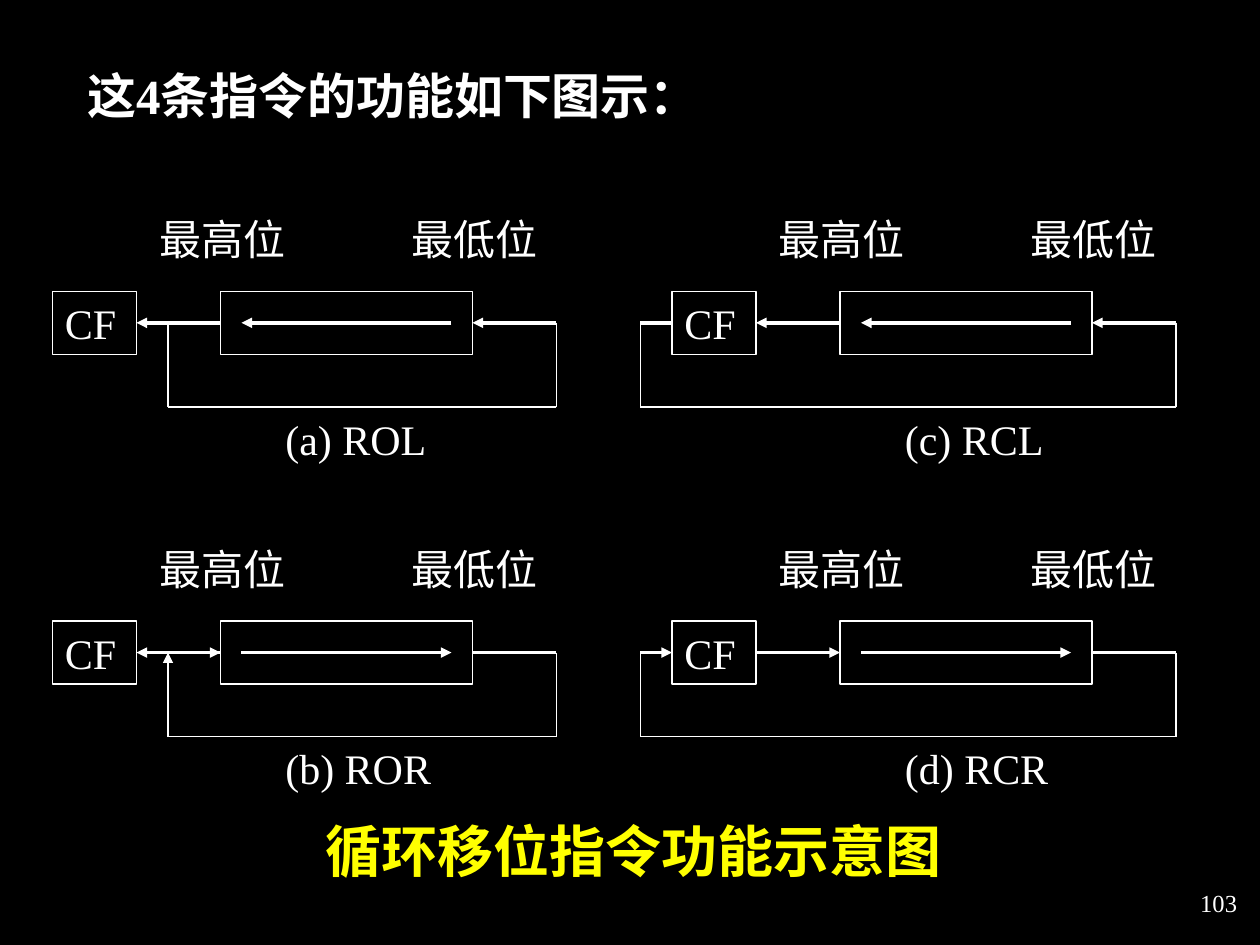
from dataclasses import dataclass
from typing import Any, Optional

from lxml import etree
from pptx import Presentation
from pptx.dml.color import RGBColor
from pptx.enum.shapes import MSO_CONNECTOR, MSO_SHAPE
from pptx.enum.text import MSO_ANCHOR, MSO_AUTO_SIZE, PP_ALIGN
from pptx.oxml.ns import qn
from pptx.util import Inches, Pt

STRAIGHT = MSO_CONNECTOR.STRAIGHT
RECTANGLE = MSO_SHAPE.RECTANGLE
TOP, MIDDLE = MSO_ANCHOR.TOP, MSO_ANCHOR.MIDDLE
LEFT, RIGHT = PP_ALIGN.LEFT, PP_ALIGN.RIGHT
NO_FIT = MSO_AUTO_SIZE.NONE
LEFT_SIDE, RIGHT_SIDE = 1, 3

BLACK = RGBColor(0x00, 0x00, 0x00)
WHITE = RGBColor(0xFF, 0xFF, 0xFF)
YELLOW = RGBColor(0xFF, 0xFF, 0x00)

BODY = {"name": "Times New Roman", "size": Pt(24), "bold": False}
HEADING = {**BODY, "size": Pt(28), "bold": True}
CAPTION = {**BODY, "size": Pt(32), "bold": True}
NUMBER = {**BODY, "size": Pt(14)}

COLUMNS, ROWS = 120, 90
THIN, THICK = Pt(0.75), Pt(2)
LOOP_DEPTH = 8
LOOP_RIGHT = 53

prs = Presentation()
prs.slide_width, prs.slide_height = Inches(10), Inches(7.5)
COL, ROW = prs.slide_width / COLUMNS, prs.slide_height / ROWS


@dataclass
class Box:
    x: float
    y: float
    w: float
    h: float

    def emu(self) -> list[int]:
        return [round(v) for v in (self.x * COL, self.y * ROW, self.w * COL, self.h * ROW)]


@dataclass
class Panel:
    col: float
    row: float
    caption: str
    rotates_left: bool
    through_carry: bool

    def box(self, x: float, y: float, w: float, h: float) -> Box:
        return Box(self.col + x, self.row + y, w, h)


PANELS = [
    Panel(0, 30.75, "(a) ROL", True, False),
    Panel(59, 30.75, "(c) RCL", True, True),
    Panel(0, 62.15, "(b) ROR", False, False),
    Panel(59, 62.15, "(d) RCR", False, True),
]


def write(s: Any, text: str, font: dict, color: RGBColor = WHITE,
          align: Any = LEFT, anchor: Any = TOP, wrap: bool = True) -> None:
    tf = s.text_frame
    frame = {"word_wrap": wrap, "auto_size": NO_FIT, "vertical_anchor": anchor}
    for name, value in frame.items():
        setattr(tf, name, value)
    p = tf.paragraphs[0]
    p.alignment = align
    r = p.add_run()
    r.text = text
    for name, value in font.items():
        setattr(r.font, name, value)
    r.font.color.rgb = color


def add_text(shapes: Any, box: Box, text: str, font: dict, **options: Any) -> None:
    write(shapes.add_textbox(*box.emu()), text, font, **options)


def add_register(shapes: Any, box: Box) -> Any:
    s = shapes.add_shape(RECTANGLE, *box.emu())
    s.shadow.inherit = False
    s.fill.background()
    s.line.color.rgb = WHITE
    s.line.width = THIN
    return s


def add_wire(shapes: Any, panel: Panel, start: tuple, end: tuple, width: Any = THICK,
             arrow: Optional[str] = None, begin: Any = None, finish: Any = None) -> None:
    (x1, y1), (x2, y2) = [(round((panel.col + x) * COL), round((panel.row + y) * ROW))
                          for x, y in (start, end)]
    c = shapes.add_connector(STRAIGHT, x1, y1, x2, y2)
    c.line.color.rgb = WHITE
    c.line.width = width
    if begin:
        c.begin_connect(*begin)
    if finish:
        c.end_connect(*finish)
    if arrow:
        etree.SubElement(c.line._get_or_add_ln(), qn(f"a:{arrow}"), type="triangle")
    etree.SubElement(c._element.spPr, qn("a:effectLst"))


def draw_panel(shapes: Any, panel: Panel) -> None:
    left, carry = panel.rotates_left, panel.through_carry
    flow = "tailEnd" if left else "headEnd"
    loop_left = 2 if carry else 16

    register = add_register(shapes, panel.box(21, -3, 24, 6))
    flag = add_register(shapes, panel.box(5, -3, 8, 6))
    write(flag, "CF", BODY)
    for x, text in ((14, "最高位"), (38, "最低位")):
        add_text(shapes, panel.box(x, -11, 18, 6), text, BODY)
    add_text(shapes, panel.box(26, LOOP_DEPTH, 31, 6), panel.caption, BODY)

    add_wire(shapes, panel, (43, 0), (23, 0), arrow=flow)
    add_wire(shapes, panel, (LOOP_RIGHT, 0), (45, 0), arrow="tailEnd" if left else None,
             finish=(register, RIGHT_SIDE))
    add_wire(shapes, panel, (21, 0), (13, 0), arrow=flow if carry else "tailEnd",
             begin=(register, LEFT_SIDE), finish=(flag, RIGHT_SIDE))
    if carry:
        add_wire(shapes, panel, (5, 0), (loop_left, 0), arrow=None if left else "headEnd",
                 begin=(flag, LEFT_SIDE))
    elif not left:
        add_wire(shapes, panel, (21, 0), (loop_left, 0), arrow="headEnd",
                 begin=(register, LEFT_SIDE))

    loop_arrow = None if left or carry else "headEnd"
    add_wire(shapes, panel, (loop_left, 0), (loop_left, LOOP_DEPTH), THIN, loop_arrow)
    add_wire(shapes, panel, (LOOP_RIGHT, 0), (LOOP_RIGHT, LOOP_DEPTH), THIN)
    add_wire(shapes, panel, (LOOP_RIGHT, LOOP_DEPTH), (loop_left, LOOP_DEPTH), THIN)


def main() -> None:
    slide = prs.slides.add_slide(prs.slide_layouts[5])
    slide.background.fill.solid()
    slide.background.fill.fore_color.rgb = BLACK

    title = slide.shapes.title
    title.left, title.top, title.width, title.height = Box(7.1, 5.3, 96, 7.5).emu()
    write(title, "这4条指令的功能如下图示：", HEADING, anchor=MIDDLE)

    for panel in PANELS:
        draw_panel(slide.shapes, panel)

    add_text(slide.shapes, Box(29.8, 77.2, 63, 7.7), "循环移位指令功能示意图", CAPTION, color=YELLOW)
    add_text(slide.shapes, Box(94, 83, 25, 6), "103", NUMBER,
             align=RIGHT, anchor=MIDDLE, wrap=False)
    prs.save("out.pptx")


if __name__ == "__main__":
    main()
